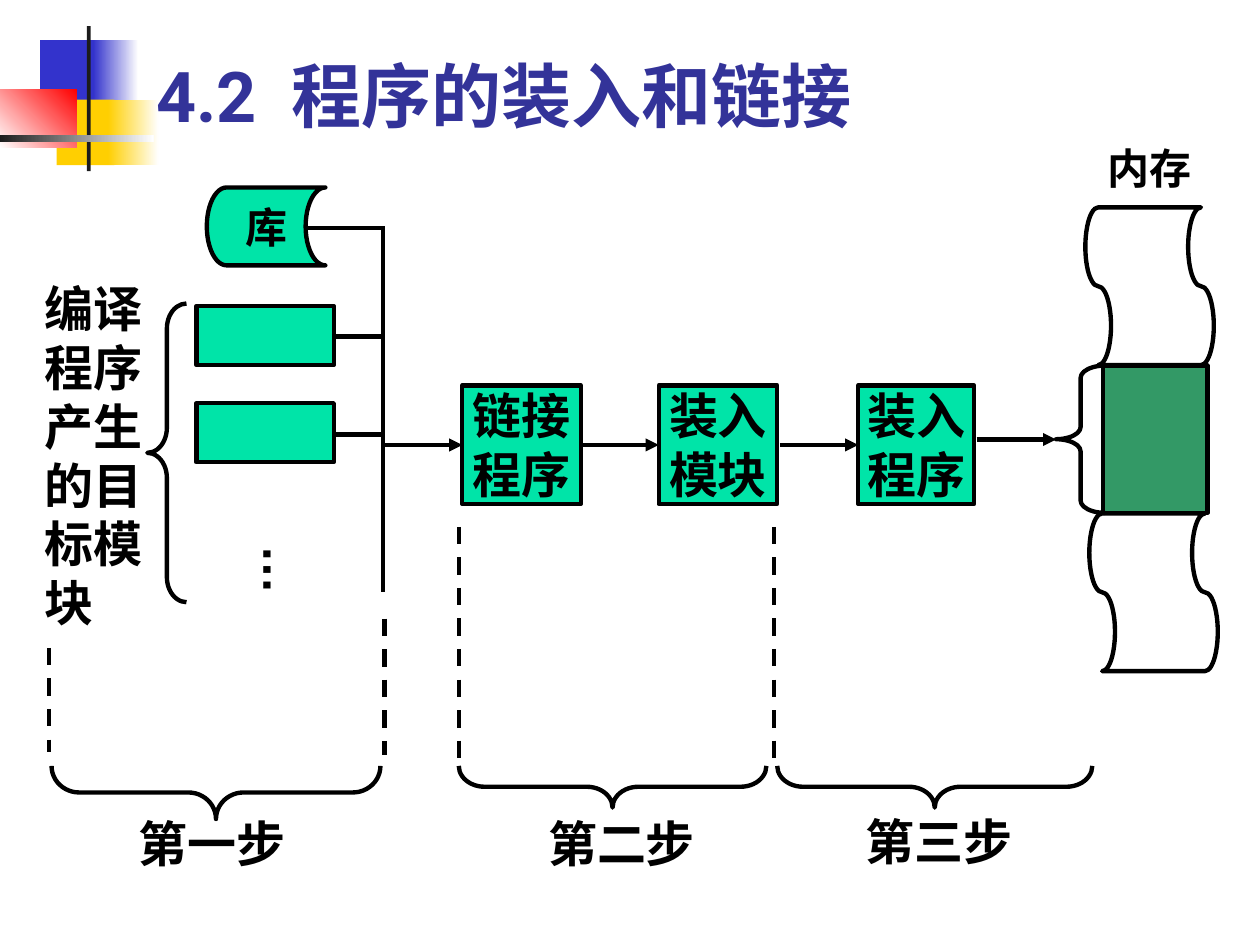
from lxml.etree import SubElement
from pptx import Presentation
from pptx.dml.color import RGBColor
from pptx.enum.dml import MSO_LINE
from pptx.enum.shapes import MSO_CONNECTOR, MSO_SHAPE
from pptx.enum.text import MSO_ANCHOR, PP_ALIGN
from pptx.oxml.ns import qn
from pptx.util import Cm, Pt

# Content: all lengths in centimetres
BLACK, MINT, GREEN = "000000", "00E4A8", "339966"
BLUE, YELLOW, RED, DARK, WHITE = "3333CC", "FFCF01", "FF0000", "1C1C1C", "FFFFFF"

# Corner ornament: box, colours (two make a gradient), gradient angle
ORNAMENT = [
    ((0.81, 0.81, 1.22, 1.32), [BLUE], 0),
    ((1.88, 0.81, 0.91, 1.32), [BLUE, WHITE], 0),
    ((1.14, 2.01, 1.17, 1.32), [YELLOW], 0),
    ((2.18, 2.01, 1.02, 1.32), [YELLOW, WHITE], 0),
    ((0, 1.8, 1.55, 1.17), [WHITE, RED], 45),
    ((1.75, 0.53, 0.08, 2.92), [DARK], 0),
    ((0, 2.72, 3.1, 0.15), [DARK, WHITE], 0),
]
TITLE = "4.2  程序的装入和链接"

LIBRARY = ("库", (4.17, 3.78, 2.39, 1.57))
MODULES = [(3.96, 6.17, 2.77, 1.19), (3.96, 8.13, 2.77, 1.19)]
PROGRAMS = [  # lines of text, left, width
    (["链接", "程序"], 9.32, 2.39),
    (["装入", "模块"], 13.28, 2.39),
    (["装入", "程序"], 17.3, 2.34),
]
PROGRAM_TOP, PROGRAM_HEIGHT = 7.77, 2.39
MEMORY_BLOCK = (22.23, 7.37, 2.11, 2.97)
MEMORY_TAPES = [(21.88, 4.18), (21.96, 10.35)]
TAPE_SIZE = (2.59, 3.18)

# Left braces: box, curve adjustment
LEFT_BRACES = [((2.97, 6.12, 0.79, 6.02), 0.64), ((21.29, 7.37, 0.99, 2.97), 0.25)]

# Steps: label, label position, brace left, width, depth, curve adjustment
STEPS = [
    ("第一步", (2.54, 16.28), 1.04, 6.63, 1.07, 0.52),
    ("第二步", (10.8, 16.28), 9.25, 6.2, 0.84, 0.62),
    ("第三步", (17.2, 16.23), 15.67, 6.35, 0.84, 0.62),
]
STEP_BRACE_TOP = 15.44
LABEL_SIZE = (3.61, 1.45)

ARROWS = [(7.72, 9.32, 8.97), (11.71, 13.28, 8.97), (15.72, 17.3, 8.97), (19.69, 21.29, 8.86)]
BUS_X = 7.72
BUS = (BUS_X, 4.6, BUS_X, 11.94)
BRANCHES = [(6.2, 4.6, 7.77, 4.6), (6.73, 6.78, BUS_X, 6.78), (6.73, 8.76, BUS_X, 8.76)]
GUIDES = [(0.99, 13.06, 15.16), (7.75, 12.47, 15.21), (9.25, 10.62, 15.29), (15.6, 10.62, 15.29)]


def color(value):
    return RGBColor.from_string(value)


def write(frame, lines, size, ink=BLACK, font="Arial", align=PP_ALIGN.LEFT):
    for index, line in enumerate(lines):
        para = frame.paragraphs[0] if index == 0 else frame.add_paragraph()
        para.alignment = align
        span = para.add_run()
        span.text = line
        span.font.name, span.font.size, span.font.bold = font, Pt(size), True
        span.font.color.rgb = color(ink)


def add_text(page, text, box, size, **style):
    frame = page.shapes.add_textbox(*map(Cm, box)).text_frame
    frame.word_wrap = True
    write(frame, [text], size, **style)
    return frame


def add_shape(page, kind, box, fills=(), outlined=True, angle=0):
    shape = page.shapes.add_shape(kind, *map(Cm, box))
    shape.shadow.inherit = False
    if len(fills) == 2:
        shape.fill.gradient()
        shape.fill.gradient_angle = angle
        for stop, fill, position in zip(shape.fill.gradient_stops, fills, (0, 1)):
            stop.color.rgb = color(fill)
            stop.position = position
    elif fills:
        shape.fill.solid()
        shape.fill.fore_color.rgb = color(fills[0])
    else:
        shape.fill.background()
    if outlined:
        shape.line.color.rgb = color(BLACK)
        shape.line.width = Pt(2.5)
    else:
        shape.line.fill.background()
    return shape


def add_turned(page, kind, left, top, width, height):
    """Outline turned a quarter left so that it covers the given area."""
    box = (left + (width - height) / 2, top + (height - width) / 2, height, width)
    shape = add_shape(page, kind, box)
    shape.rotation = 270
    return shape


def add_labelled(page, kind, box, lines, size):
    frame = add_shape(page, kind, box, [MINT]).text_frame
    frame.word_wrap = False
    frame.vertical_anchor = MSO_ANCHOR.MIDDLE
    write(frame, lines, size, align=PP_ALIGN.CENTER)


def add_line(page, ends, arrow=False, dashed=False):
    line = page.shapes.add_connector(MSO_CONNECTOR.STRAIGHT, *map(Cm, ends))
    line.line.color.rgb = color(BLACK)
    line.line.width = Pt(2.5)
    if dashed:
        line.line.dash_style = MSO_LINE.DASH
    if arrow:
        SubElement(line.line._get_or_add_ln(), qn("a:tailEnd"), type="triangle")
    SubElement(line._element.spPr, qn("a:effectLst"))


def main():
    deck = Presentation()
    deck.slide_width, deck.slide_height = Cm(25.4), Cm(19.05)
    page = deck.slides.add_slide(deck.slide_layouts[6])

    # Ornament and title
    for box, fills, angle in ORNAMENT:
        add_shape(page, MSO_SHAPE.RECTANGLE, box, fills, outlined=False, angle=angle)
    title = add_text(page, TITLE, (2.9, 0.91, 21.64, 1.96), 40, ink="333399", font="Roboto")
    title.vertical_anchor = MSO_ANCHOR.BOTTOM

    # Library, object modules and programs
    name, box = LIBRARY
    add_labelled(page, MSO_SHAPE.FLOWCHART_STORED_DATA, box, [name], 24)
    for box in MODULES:
        add_shape(page, MSO_SHAPE.RECTANGLE, box, [MINT])
    for lines, left, width in PROGRAMS:
        box = (left, PROGRAM_TOP, width, PROGRAM_HEIGHT)
        add_labelled(page, MSO_SHAPE.RECTANGLE, box, lines, 28)

    # Memory
    add_shape(page, MSO_SHAPE.RECTANGLE, MEMORY_BLOCK, [GREEN])
    for place in MEMORY_TAPES:
        add_turned(page, MSO_SHAPE.FLOWCHART_PUNCHED_TAPE, *place, *TAPE_SIZE)
    add_text(page, "内存", (22.07, 2.74, 2.74, 1.27), 24)

    # Connections and guides
    for start, end, y in ARROWS:
        add_line(page, (start, y, end, y), arrow=True)
    for ends in [BUS, *BRANCHES]:
        add_line(page, ends)
    for x, top, bottom in GUIDES:
        add_line(page, (x, top, x, bottom), dashed=True)

    # Braces and step labels
    for box, curve in LEFT_BRACES:
        add_shape(page, MSO_SHAPE.LEFT_BRACE, box).adjustments[0] = curve
    for label, place, left, width, depth, curve in STEPS:
        brace = add_turned(page, MSO_SHAPE.LEFT_BRACE, left, STEP_BRACE_TOP, width, depth)
        brace.adjustments[0] = curve
        add_text(page, label, (*place, *LABEL_SIZE), 28)

    # Module caption and vertical ellipsis
    add_text(page, "编译程序产生的目标模块", (0.64, 5.49, 2.74, 7.37), 28)
    dots = add_text(page, "…", (4.75, 10.74, 1.68, 1.98), 28)
    dots.margin_left = dots.margin_right = Cm(0.13)
    dots.margin_top = dots.margin_bottom = Cm(0.25)
    dots._txBody.bodyPr.set("vert", "eaVert")

    deck.save("out.pptx")


if __name__ == "__main__":
    main()
